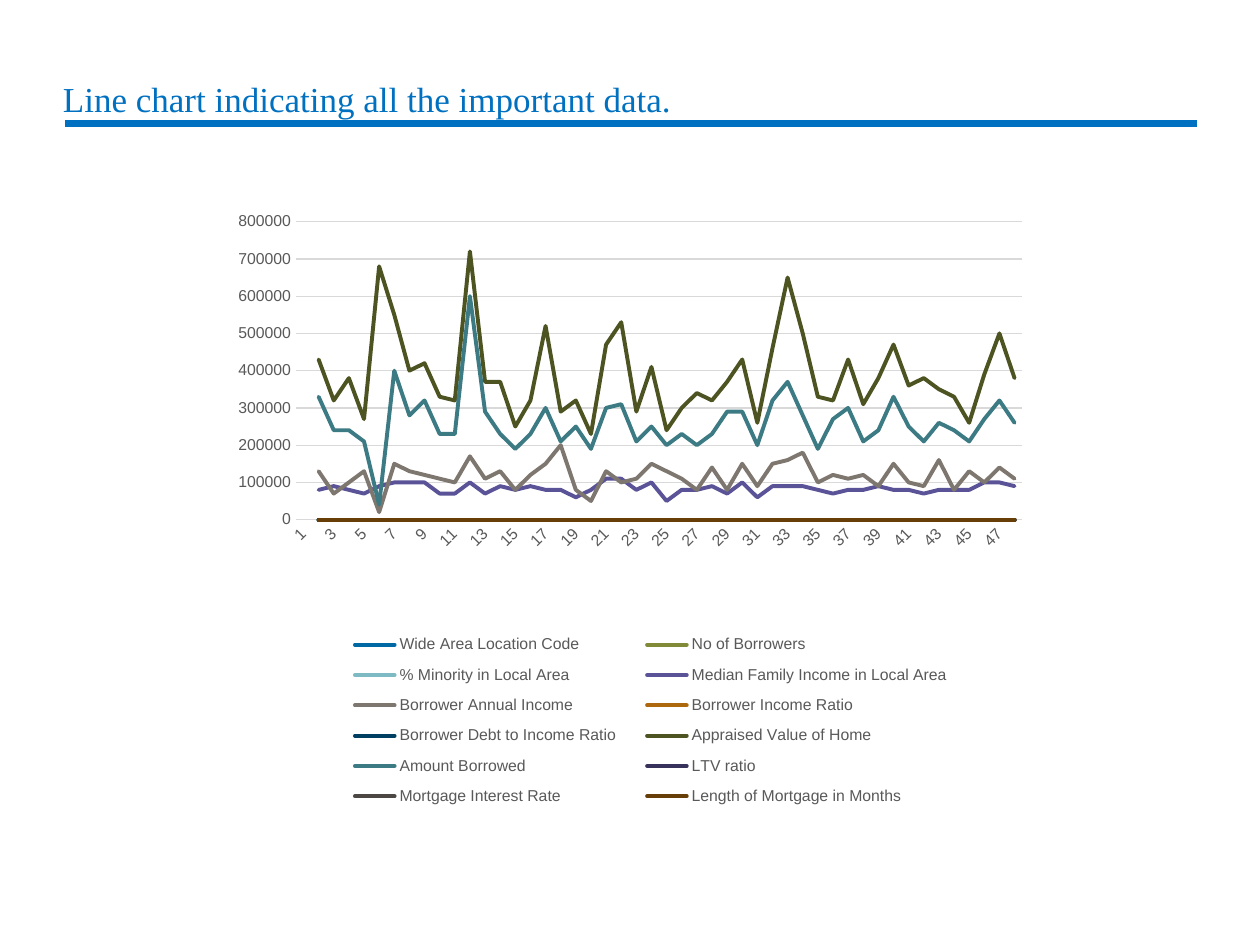
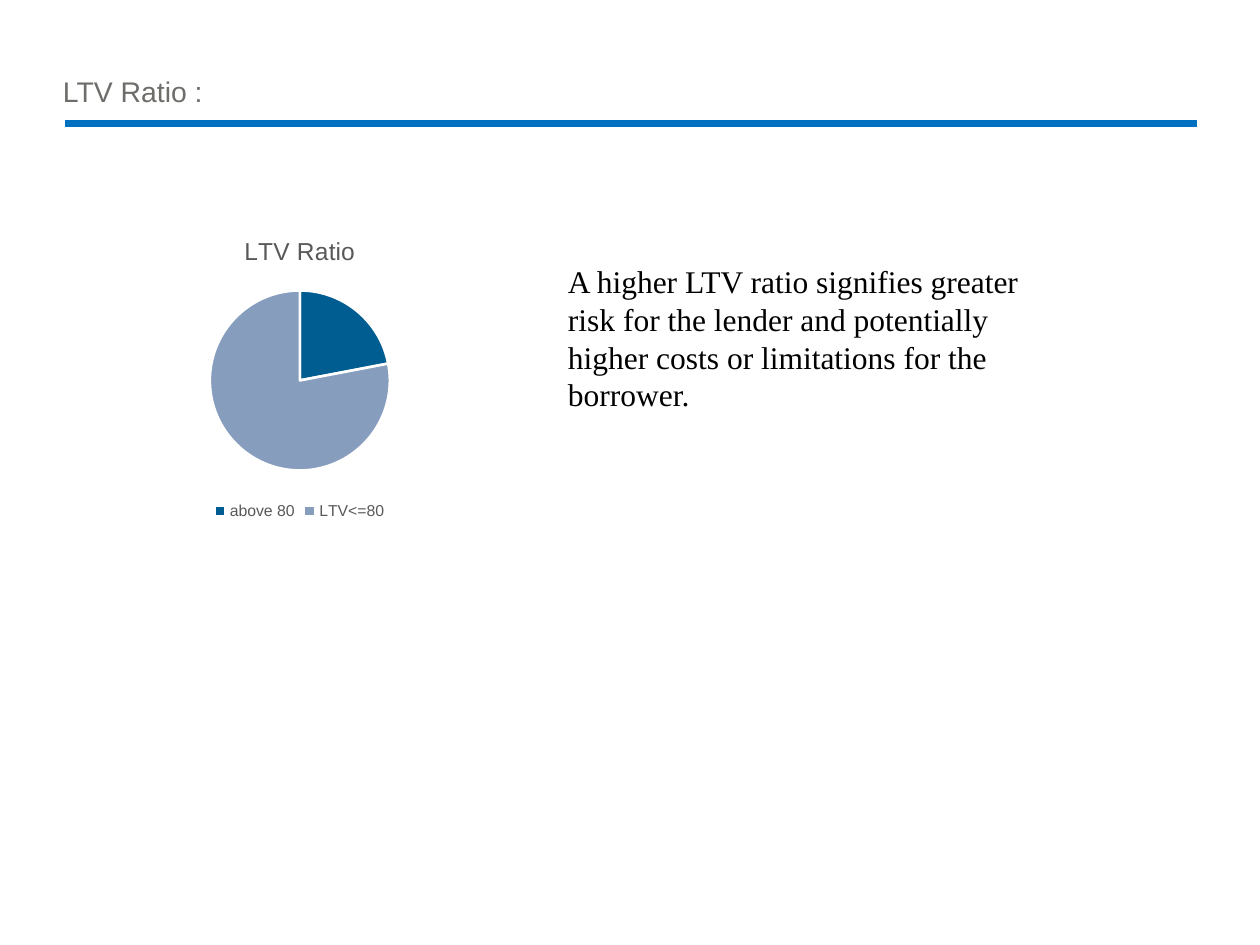
from dataclasses import dataclass

from lxml.etree import SubElement
from pptx import Presentation
from pptx.chart.data import CategoryChartData
from pptx.dml.color import RGBColor
from pptx.enum.chart import XL_CHART_TYPE, XL_LEGEND_POSITION, XL_TICK_MARK
from pptx.enum.shapes import MSO_CONNECTOR
from pptx.enum.text import MSO_ANCHOR
from pptx.oxml.ns import qn
from pptx.util import Pt

PX = 9144


@dataclass(frozen=True)
class Theme:
    accent: str = "0070C0"
    heading: str = "6D6E6A"
    body: str = "000000"
    label: str = "595959"
    grid: str = "D9D9D9"
    white: str = "FFFFFF"
    sans: str = "Arial"
    serif: str = "Times New Roman"
    title_size: float = 20
    heading_size: float = 16.2
    body_size: float = 18
    chart_title_size: float = 14
    label_size: float = 9


def set_font(font, name, size, color):
    font.name, font.size = name, Pt(size)
    font.color.rgb = RGBColor.from_string(color)


def set_line(line, color, width):
    line.color.rgb = RGBColor.from_string(color)
    line.width = Pt(width)


def set_layout(parent, index, frame, inner=False):
    for old in parent.findall(qn("c:layout")):
        parent.remove(old)
    layout = SubElement(parent, qn("c:layout"))
    parent.insert(index, layout)
    manual = SubElement(layout, qn("c:manualLayout"))
    if inner:
        SubElement(manual, qn("c:layoutTarget")).set("val", "inner")
    for key in ("xMode", "yMode"):
        SubElement(manual, qn(f"c:{key}")).set("val", "edge")
    for key, value in zip("xywh", frame):
        SubElement(manual, qn(f"c:{key}")).set("val", str(value))


class Deck:
    def __init__(self, theme):
        self.theme = theme
        self.prs = Presentation()
        self.prs.slide_width, self.prs.slide_height = 1000 * PX, 750 * PX
        self.s = None

    def slide(self):
        self.s = self.prs.slides.add_slide(self.prs.slide_layouts[6])
        rule = self.s.shapes.add_connector(
            MSO_CONNECTOR.STRAIGHT, 52 * PX, 98 * PX, 950 * PX, 98 * PX)
        set_line(rule.line, self.theme.accent, 4.5)
        SubElement(rule.element.spPr, qn("a:effectLst"))

    def text(self, box, text, name, size, color):
        sp = self.s.shapes.add_textbox(*(n * PX for n in box))
        tf = sp.text_frame
        tf.word_wrap = True
        p = tf.paragraphs[0]
        p.text = text
        set_font(p.font, name, size, color)
        return tf

    def title(self, top, text, name, size, color):
        tf = self.text((50, top, 900, 30), text, name, size, color)
        tf.margin_left = tf.margin_right = 0
        tf.vertical_anchor = MSO_ANCHOR.MIDDLE
        tf.paragraphs[0].line_spacing = 0.9

    def chart(self, kind, box, categories, series):
        data = CategoryChartData()
        data.categories = categories
        for name, values in series:
            data.add_series(name, values)
        chart = self.s.shapes.add_chart(kind, *(n * PX for n in box), data).chart
        self.label_font(chart.font)
        chart.has_title = False
        chart.has_legend = True
        chart.legend.position = XL_LEGEND_POSITION.BOTTOM
        chart.legend.include_in_layout = False
        self.label_font(chart.legend.font)
        return chart

    def label_font(self, font):
        set_font(font, self.theme.sans, self.theme.label_size, self.theme.label)

    def line_chart(self, box, categories, series, colors, top, step, plot, legend):
        chart = self.chart(XL_CHART_TYPE.LINE, box, categories, series)
        for ser, color in zip(chart.plots[0].series, colors):
            ser.smooth = False
            set_line(ser.format.line, color, 2.25)
        for ln in chart.element.xpath(".//c:ser/c:spPr/a:ln"):
            ln.set("cap", "rnd")
        for axis in (chart.category_axis, chart.value_axis):
            axis.major_tick_mark = axis.minor_tick_mark = XL_TICK_MARK.NONE
            self.label_font(axis.tick_labels.font)
        set_line(chart.category_axis.format.line, self.theme.grid, 0.75)
        val = chart.value_axis
        val.minimum_scale, val.maximum_scale, val.major_unit = 0, top, step
        val.format.line.fill.background()
        set_line(val.major_gridlines.format.line, self.theme.grid, 0.75)
        root = chart.element
        root.xpath(".//c:catAx/c:txPr/a:bodyPr")[0].set("rot", "-2700000")
        if not root.xpath(".//c:valAx/c:crossBetween"):
            val_ax = root.xpath(".//c:valAx")[0]
            between = SubElement(val_ax, qn("c:crossBetween"))
            between.set("val", "between")
            val_ax.find(qn("c:crosses")).addnext(between)
        set_layout(root.xpath(".//c:plotArea")[0], 0, plot, inner=True)
        set_layout(root.xpath(".//c:legend")[0], 1, legend)

    def pie_chart(self, box, title, categories, values, colors):
        chart = self.chart(XL_CHART_TYPE.PIE, box, categories, [("Series 1", values)])
        chart.has_title = True
        p = chart.chart_title.text_frame.paragraphs[0]
        p.text = title
        set_font(p.font, self.theme.sans, self.theme.chart_title_size, self.theme.label)
        p.font.bold = False
        chart.plots[0].vary_by_categories = True
        for i, color in enumerate(colors):
            fmt = chart.plots[0].series[0].points[i].format
            fmt.fill.solid()
            fmt.fill.fore_color.rgb = RGBColor.from_string(color)
            set_line(fmt.line, self.theme.white, 1.5)


LOANS = 47
FLAT = [0] * LOANS
FAMILY_INCOME = [
    8, 9, 8, 7, 9, 10, 10, 10, 7, 7, 10, 7, 9, 8, 9, 8, 8, 6, 8, 11, 11, 8, 10, 5,
    8, 8, 9, 7, 10, 6, 9, 9, 9, 8, 7, 8, 8, 9, 8, 8, 7, 8, 8, 8, 10, 10, 9]
BORROWER_INCOME = [
    13, 7, 10, 13, 2, 15, 13, 12, 11, 10, 17, 11, 13, 8, 12, 15, 20, 8, 5, 13, 10, 11, 15, 13,
    11, 8, 14, 8, 15, 9, 15, 16, 18, 10, 12, 11, 12, 9, 15, 10, 9, 16, 8, 13, 10, 14, 11]
HOME_VALUE = [
    43, 32, 38, 27, 68, 55, 40, 42, 33, 32, 72, 37, 37, 25, 32, 52, 29, 32, 23, 47, 53, 29, 41, 24,
    30, 34, 32, 37, 43, 26, 46, 65, 50, 33, 32, 43, 31, 38, 47, 36, 38, 35, 33, 26, 39, 50, 38]
AMOUNT_BORROWED = [
    33, 24, 24, 21, 4, 40, 28, 32, 23, 23, 60, 29, 23, 19, 23, 30, 21, 25, 19, 30, 31, 21, 25, 20,
    23, 20, 23, 29, 29, 20, 32, 37, 28, 19, 27, 30, 21, 24, 33, 25, 21, 26, 24, 21, 27, 32, 26]

MORTGAGE_SERIES = [
    ("Wide Area Location Code", "0069A3", FLAT),
    ("No of Borrowers", "818A37", FLAT),
    ("% Minority in Local Area", "7DBAC4", FLAT),
    ("Median Family Income in Local Area", "5A5397", FAMILY_INCOME),
    ("Borrower Annual Income", "7E776F", BORROWER_INCOME),
    ("Borrower Income Ratio", "AD670D", [0, None] + FLAT[2:]),
    ("Borrower Debt to Income Ratio", "003F62", FLAT),
    ("Appraised Value of Home", "4D5321", HOME_VALUE),
    ("Amount Borrowed", "3C7A84", AMOUNT_BORROWED),
    ("LTV ratio", "36325B", FLAT),
    ("Mortgage Interest Rate", "4C4743", FLAT),
    ("Length of Mortgage in Months", "683E08", FLAT),
]


def in_full(ten_thousands):
    return [None] + [v if v is None else v * 10_000 for v in ten_thousands]


def main():
    theme = Theme()
    deck = Deck(theme)

    deck.slide()
    deck.title(65, "Line chart indicating all the important data.",
               theme.serif, theme.title_size, theme.accent)
    deck.line_chart(
        (189, 121, 655, 550),
        [str(n) for n in range(1, LOANS + 2)],
        [(name, in_full(values)) for name, _, values in MORTGAGE_SERIES],
        [color for _, color, _ in MORTGAGE_SERIES],
        top=800_000, step=100_000,
        plot=(0.07, 0.1, 0.88, 0.43), legend=(0.11, 0.68, 0.78, 0.28))

    deck.slide()
    deck.pie_chart((67, 173, 342, 244), "LTV Ratio",
                   ["above 80", "LTV<=80"], [22, 78], ["005D91", "879DBD"])
    deck.title(59, "LTV Ratio :", theme.sans, theme.heading_size, theme.heading)
    deck.text((441, 203, 380, 131),
              "A higher LTV ratio signifies greater risk for the lender and "
              "potentially higher costs or limitations for the borrower.",
              theme.serif, theme.body_size, theme.body)

    deck.prs.save("out.pptx")


if __name__ == "__main__":
    main()
